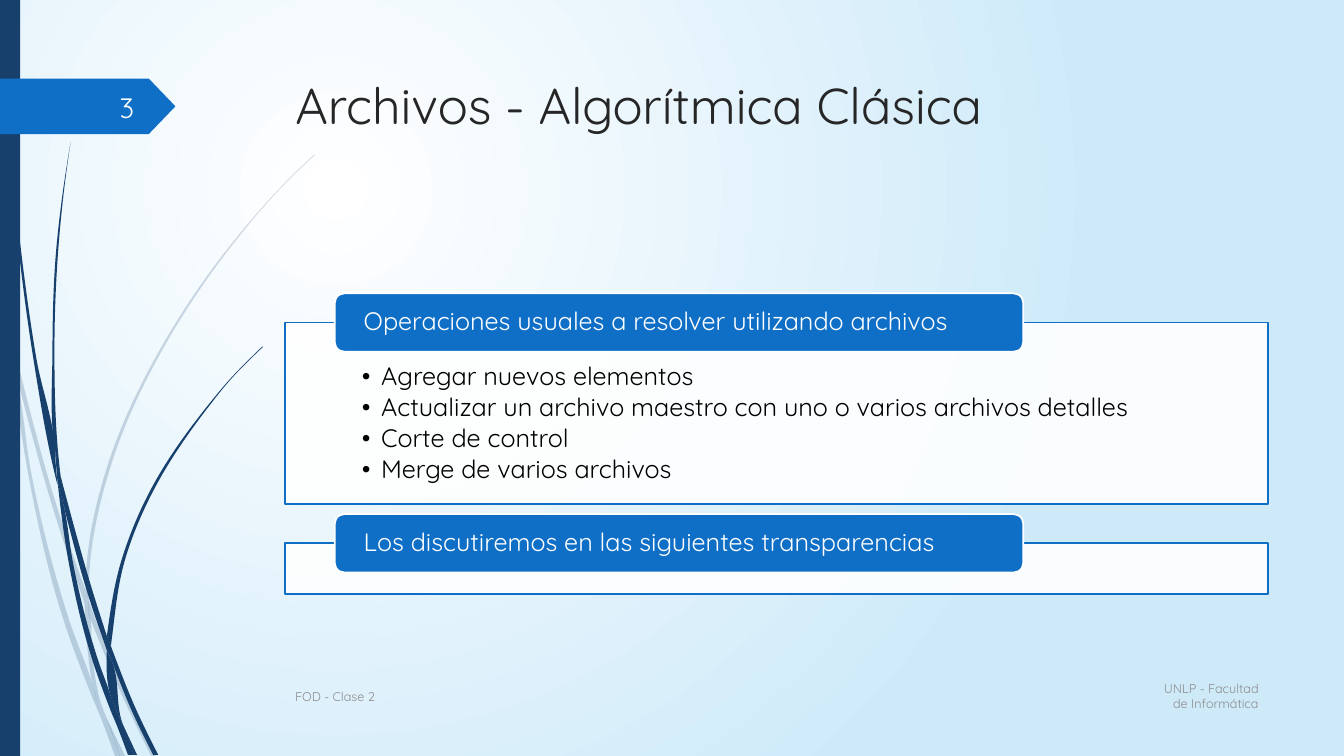
"""Build the slide on classic file algorithms: wispy stems, page tag and two titled panels."""
import pptx
import pptx.util
import pptx.dml.color
import pptx.enum.shapes
import pptx.enum.text
import pptx.oxml.ns
import lxml.etree

Inches, Pt = pptx.util.Inches, pptx.util.Pt
RGB = pptx.dml.color.RGBColor
SHAPE = pptx.enum.shapes.MSO_SHAPE
ALIGN = pptx.enum.text.PP_ALIGN
ANCHOR = pptx.enum.text.MSO_ANCHOR
qn = pptx.oxml.ns.qn

NAVY, BLUE, SKY = RGB(0x17, 0x40, 0x6D), RGB(0x0F, 0x6F, 0xC6), RGB(0xCE, 0xEA, 0xF9)
WHITE, BLACK, PAPER = RGB(255, 255, 255), RGB(0, 0, 0), RGB(0xFE, 0xFF, 0xFF)
INK, GREY = RGB(0x26, 0x26, 0x26), RGB(0x8C, 0x8C, 0x8C)
FONT = "Quicksand"

PANELS = [
    ("Operaciones usuales a resolver utilizando archivos", 3.2, 1.8, [
        "Agregar nuevos elementos",
        "Actualizar un archivo maestro con uno o varios archivos detalles",
        "Corte de control",
        "Merge de varios archivos"]),
    ("Los discutiremos en las siguientes transparencias", 5.39, 0.5, []),
]
LABELS = [
    ("Archivos - Algorítmica Clásica", (2.83, 0.69, 9.75, 1.4), 36, INK, ALIGN.LEFT, ANCHOR.TOP),
    ("UNLP - Facultad de Informática", (11.33, 6.7, 1.25, 0.41), 9, GREY, ALIGN.RIGHT, ANCHOR.MIDDLE),
    ("FOD - Clase 2", (2.83, 6.71, 8.33, 0.4), 9, GREY, ALIGN.LEFT, ANCHOR.MIDDLE),
    ("3", (0.58, 0.86, 0.85, 0.4), 20, PAPER, ALIGN.RIGHT, ANCHOR.MIDDLE),
]
FAINT_STEMS = [
    [[(0.11, 3.5), (0.09, 3.22), (0, 2.82)], [(0, 2.99), (0.1, 3.44), (0.11, 3.5)]],
    [[(0.14, 3.45), (0.62, 5.2), (0.85, 5.86)], [(0.84, 5.99), (0.58, 5.22), (0.17, 3.76)]],
    [[(0.88, 5.96), (0.92, 6.07), (1.27, 6.92), (1.55, 7.5)],
     [(1.5, 7.5), (1.23, 6.94), (0.88, 6.1)]],
    [[(1.05, 7.11), (1.24, 7.5)], [(1.19, 7.5), (1.05, 7.11)]],
    [[(0.11, 3.5), (0.17, 3.76), (0.31, 4.69), (0.7, 6.19), (0.93, 6.83), (0.99, 7.07), (1.01, 7.14)],
     [(0.92, 6.93), (0.65, 6.21), (0.28, 4.7), (0.11, 3.5)]],
    [[(0.84, 5.99), (0.88, 6.08), (0.91, 6.46), (1.03, 7.06), (1.05, 7.11)],
     [(0.96, 6.92), (0.93, 6.83), (0.87, 6.46), (0.84, 5.99)]],
    [[(0.88, 5.96), (0.88, 5.84), (1.1, 4.62), (1.6, 3.49), (2.29, 2.45), (2.68, 1.98),
      (2.9, 1.75), (3.12, 1.54)],
     [(3.12, 1.53), (2.89, 1.75), (2.68, 1.97), (2.28, 2.44), (1.58, 3.48), (1.07, 4.61),
      (0.85, 5.84), (0.85, 5.86)]],
    [[(1.01, 7.14), (1.14, 7.5)], [(1.19, 7.5), (1.01, 7.14)]],
    [[(0.85, 5.86), (0.88, 5.96), (0.88, 6.1)], [(0.88, 6.08), (0.84, 5.99)]],
    [[(0.93, 6.83), (0.96, 6.92), (1.05, 7.11), (1.19, 7.5)], [(1.01, 7.14), (0.99, 7.07), (0.93, 6.83)]],
]
DARK_STEMS = [
    [[(0.03, 0), (0.04, 0.48), (0.07, 1.1), (0.17, 2.33), (0.33, 3.55), (0.56, 4.77), (0.57, 4.81)],
     [(0.55, 4.57), (0.55, 4.53), (0.36, 3.55), (0.19, 2.32), (0.08, 1.09), (0.05, 0.48), (0.04, 0)]],
    [[(0.6, 4.72), (0.93, 5.9), (1.06, 6.31)], [(1.06, 6.45), (0.88, 5.92), (0.64, 5.05)]],
    [[(1.1, 6.41), (1.13, 6.49), (1.36, 7.06), (1.57, 7.49)], [(1.52, 7.49), (1.32, 7.08), (1.11, 6.56)]],
    [[(0.57, 4.77), (0.64, 5.05), (0.72, 5.56), (0.98, 6.57), (1.1, 6.91), (1.17, 7.22)],
     [(1.11, 7.08), (0.93, 6.59), (0.68, 5.57), (0.57, 4.77)]],
    [[(0.6, 4.72), (0.58, 4.53), (0.54, 3.49), (0.58, 2.45), (0.63, 1.93), (0.7, 1.41)],
     [(0.7, 1.41), (0.62, 1.93), (0.56, 2.45), (0.52, 3.49), (0.55, 4.49), (0.6, 4.72)]],
    [[(1.22, 7.19), (1.36, 7.49)], [(1.33, 7.49), (1.22, 7.19)]],
    [[(0.55, 4.49), (0.6, 4.72), (0.64, 5.05)], [(0.57, 4.77), (0.55, 4.53)]],
    [[(1.1, 6.41), (1.11, 6.33), (1.25, 5.52), (1.58, 4.76), (2.05, 4.06), (2.31, 3.74), (2.61, 3.44)],
     [(2.6, 3.44), (2.31, 3.73), (2.04, 4.05), (1.56, 4.74), (1.22, 5.51), (1.06, 6.31)]],
    [[(1.17, 7.22), (1.27, 7.49)], [(1.31, 7.49), (1.17, 7.22)]],
    [[(1.06, 6.45), (1.11, 6.56), (1.21, 7.16), (1.22, 7.19)], [(1.16, 7.06), (1.1, 6.91), (1.06, 6.45)]],
    [[(1.06, 6.31), (1.1, 6.41), (1.11, 6.56)], [(1.09, 6.51), (1.06, 6.45)]],
    [[(1.1, 6.91), (1.16, 7.06), (1.22, 7.19), (1.33, 7.49)], [(1.3, 7.49), (1.17, 7.22), (1.1, 6.91)]],
]


def controls(knots):
    """Return the two control points of each smooth segment through the knots."""
    rises = [y1 - y0 for (_, y0), (_, y1) in zip(knots, knots[1:])]
    chords = [(b[0] - a[0]) / dy for a, b, dy in zip(knots, knots[1:], rises)]
    inner = [(c0 * d1 + c1 * d0) / (d0 + d1)
             for c0, c1, d0, d1 in zip(chords, chords[1:], rises, rises[1:])]
    if inner:
        slopes = [1.5 * chords[0] - 0.5 * inner[0], *inner, 1.5 * chords[-1] - 0.5 * inner[-1]]
    else:
        slopes = chords * 2
    return [((x0 + s0 * dy / 3, y0 + dy / 3), (x1 - s1 * dy / 3, y1 - dy / 3))
            for (x0, y0), (x1, y1), s0, s1, dy in zip(knots, knots[1:], slopes, slopes[1:], rises)]


def paint(sp, fill, line=None, alpha=None):
    """Set fill, opacity in percent and outline, without a shadow."""
    sp.shadow.inherit = False
    sp.fill.solid()
    sp.fill.fore_color.rgb = fill
    if alpha:
        clr = sp._element.spPr.find(qn("a:solidFill"))[0]
        lxml.etree.SubElement(clr, qn("a:alpha"), val=str(alpha * 1000))
    if line:
        sp.line.color.rgb, sp.line.width = line, Pt(1.25)
    else:
        sp.line.fill.background()


def add_box(kind, box, *style):
    """Add a painted preset shape."""
    sp = slide.shapes.add_shape(kind, *map(Inches, box))
    paint(sp, *style)
    return sp


def write(sp, lines, size, color, frame, para):
    """Fill a shape with one paragraph per line."""
    tf = sp.text_frame
    for name, value in {"word_wrap": True, **frame}.items():
        setattr(tf, name, value)
    for i, text in enumerate(lines):
        p = tf.add_paragraph() if i else tf.paragraphs[0]
        for name, value in para.items():
            setattr(p, name, value)
        r = p.add_run()
        r.text = text
        r.font.name, r.font.size, r.font.color.rgb = FONT, Pt(size), color


def add_stems(stems, alpha=None):
    """Draw a group of stems, each closed from its two curved sides."""
    shapes = slide.shapes.add_group_shape().shapes
    for sides in stems:
        pts = [(Inches(x), Inches(y)) for side in sides for x, y in side]
        left, top = (min(axis) for axis in zip(*pts))
        fb = shapes.build_freeform(*pts[0])
        fb.add_line_segments(pts[1:])
        sp = fb.convert_to_shape()
        paint(sp, NAVY, None, alpha)
        bends = controls(sides[0]) + [None] + controls(sides[1])
        for seg, bend in zip(list(sp._element.iter(qn("a:lnTo"))), bends):
            if bend:
                seg.tag = qn("a:cubicBezTo")
                for i, (x, y) in enumerate(bend):
                    pt = lxml.etree.Element(qn("a:pt"), x=str(Inches(x) - left), y=str(Inches(y) - top))
                    seg.insert(i, pt)


prs = pptx.Presentation()
prs.slide_width, prs.slide_height = Inches(13.33), Inches(7.5)
slide = prs.slides.add_slide(prs.slide_layouts[6])

bg = slide.background.fill
bg.gradient()
for stop, color, pos in zip(bg.gradient_stops, (WHITE, SKY), (0, 1)):
    stop.color.rgb, stop.position = color, pos
grad = slide._element.find(".//" + qn("a:gradFill"))
circle = lxml.etree.Element(qn("a:path"), path="circle")
lxml.etree.SubElement(circle, qn("a:fillToRect"), l="50000", t="50000", r="100000", b="100000")
grad.replace(grad.find(qn("a:lin")), circle)

add_stems(FAINT_STEMS, 20)
add_stems(DARK_STEMS)
add_box(SHAPE.RECTANGLE, (0, 0, 0.2, 7.5), NAVY)
tag = add_box(SHAPE.PENTAGON, (0, 0.78, 1.74, 0.55), BLUE)
tag.adjustments[0] = 0.48

for heading, top, height, items in PANELS:
    body = add_box(SHAPE.RECTANGLE, (2.83, top, 9.75, height), WHITE, BLUE, 90)
    frame = {"margin_left": Inches(0.76), "margin_right": Inches(0.76), "margin_top": Inches(0.41),
             "margin_bottom": Inches(0.14), "vertical_anchor": ANCHOR.TOP}
    write(body, items, 18, BLACK, frame,
          {"alignment": ALIGN.LEFT, "level": 1, "line_spacing": 0.9, "space_after": Pt(2.7)})
    for p in body.text_frame.paragraphs[:len(items)]:
        pPr = p._p.get_or_add_pPr()
        pPr.set("marL", str(Inches(0.19)))
        pPr.set("indent", str(Inches(-0.19)))
        lxml.etree.SubElement(pPr, qn("a:buFont"), typeface=FONT)
        lxml.etree.SubElement(pPr, qn("a:buChar"), char="•")
    head = add_box(SHAPE.ROUNDED_RECTANGLE, (3.32, top - 0.29, 6.83, 0.58), BLUE, WHITE)
    frame = {"margin_left": Inches(0.26), "margin_right": Inches(0.26), "margin_top": 0,
             "margin_bottom": 0, "vertical_anchor": ANCHOR.MIDDLE}
    write(head, [heading], 18, WHITE, frame, {"alignment": ALIGN.LEFT, "line_spacing": 0.9})

for text, box, size, color, align, anchor in LABELS:
    sp = slide.shapes.add_textbox(*map(Inches, box))
    write(sp, [text], size, color, {"vertical_anchor": anchor}, {"alignment": align})

prs.save("out.pptx")
